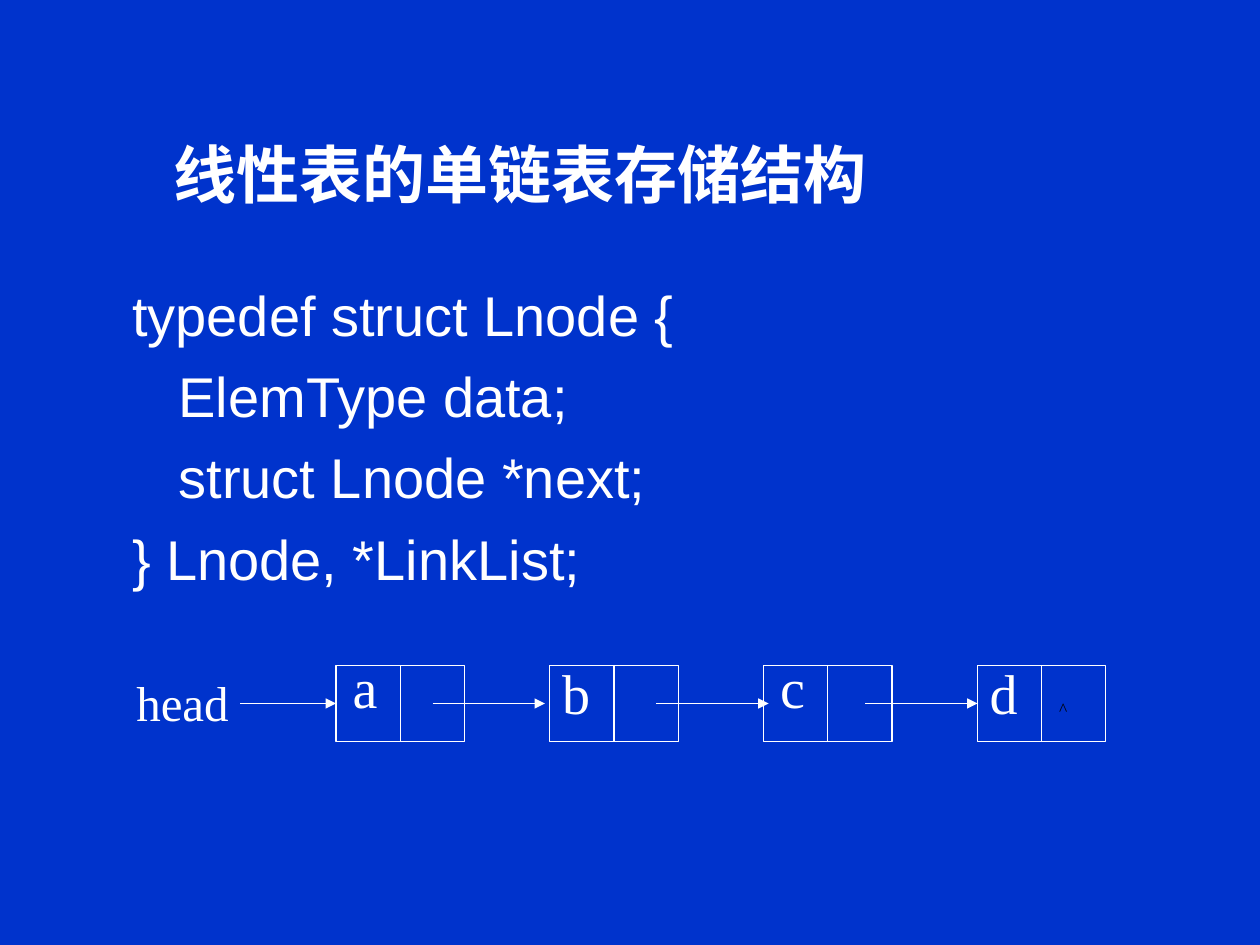
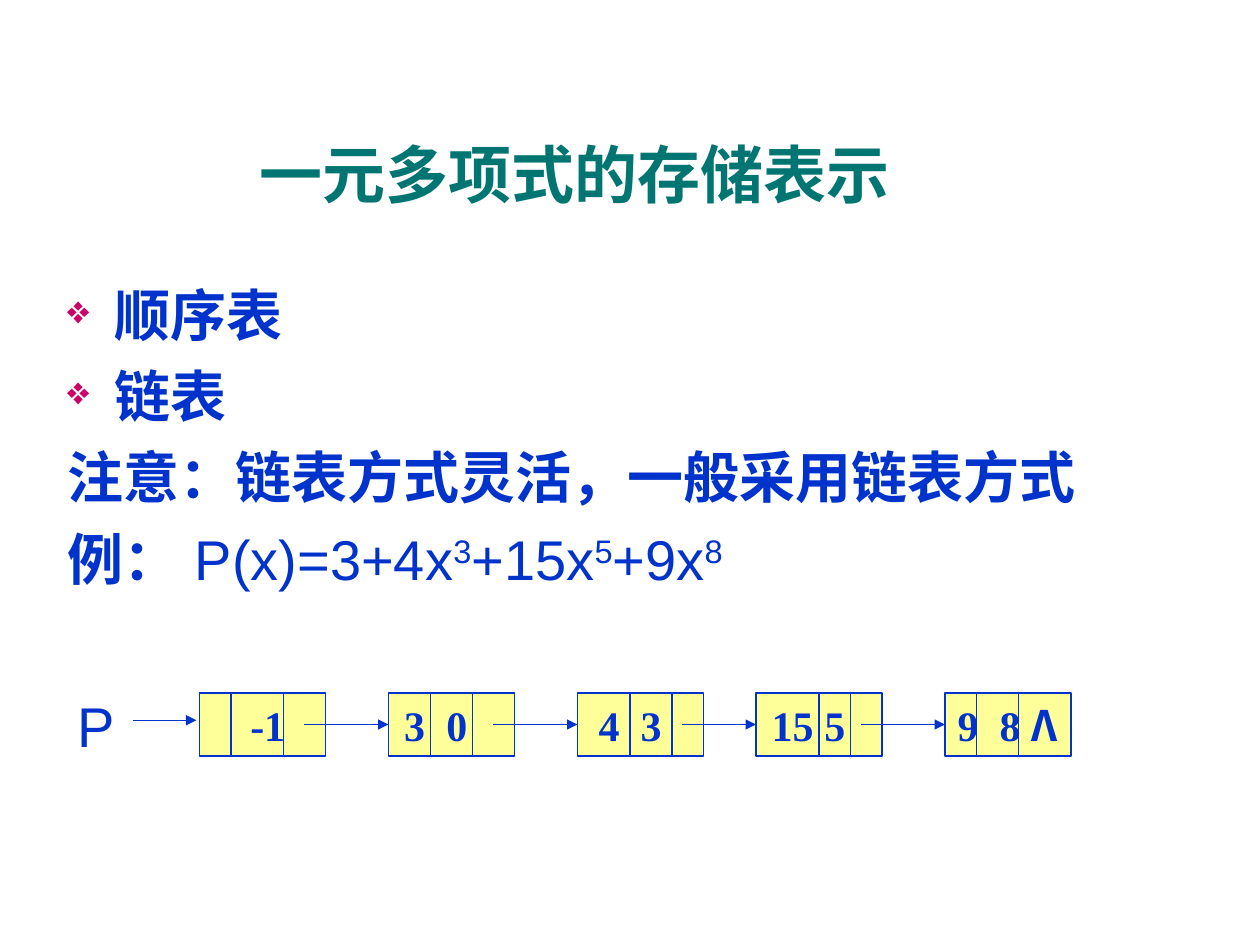
from lxml import etree
from pptx import Presentation, util as u
from pptx.dml.color import RGBColor
from pptx.enum import shapes, text
from pptx.oxml.ns import qn

BLUE = RGBColor(0x00, 0x33, 0xCC)
WHITE = RGBColor(0xFF, 0xFF, 0xFF)
BLACK = RGBColor(0x00, 0x00, 0x00)
TEAL = RGBColor(0x00, 0x75, 0x72)
YELLOW = RGBColor(0xFF, 0xFF, 0x99)
PINK = "CC0066"

SANS, SERIF, CJK = "Arial", "Times New Roman", "Noto Sans CJK SC"
COLUMNS, ROWS = 120, 90
BODY_LINE = u.Pt(46.4)


def grid(cells):
    """Length of a number of grid cells, twelve to the inch."""
    return u.Inches(cells / 12)


def add_run(paragraph, words, size=32, font=SANS, color=BLUE, bold=False, raised=False):
    run = paragraph.add_run()
    run.text = words
    run.font.size = u.Pt(size)
    run.font.name = font
    run.font.bold = bold
    run.font.color.rgb = color
    properties = run.font._element
    etree.SubElement(properties, qn("a:ea")).set("typeface", font)
    if raised:
        properties.set("baseline", "30000")
    return run


def add_text(slide, left, top, width, height, words="", spacing=None, **style):
    """Text box placed on the grid; returns its text frame."""
    box = slide.shapes.add_textbox(grid(left), grid(top), grid(width), grid(height))
    frame = box.text_frame
    frame.word_wrap = True
    if words:
        paragraph = frame.paragraphs[0]
        paragraph.line_spacing = spacing
        add_run(paragraph, words, **style)
    return frame


def add_body_line(frame, index):
    paragraph = frame.add_paragraph() if index else frame.paragraphs[0]
    paragraph.line_spacing = BODY_LINE
    return paragraph


def add_bullet(paragraph):
    properties = paragraph._p.get_or_add_pPr()
    properties.set("marL", str(u.Inches(0.38)))
    properties.set("indent", str(-u.Inches(0.38)))
    color = etree.SubElement(properties, qn("a:buClr"))
    etree.SubElement(color, qn("a:srgbClr")).set("val", PINK)
    etree.SubElement(properties, qn("a:buSzPct")).set("val", "70000")
    etree.SubElement(properties, qn("a:buChar")).set("char", "❖")


def add_centre_tabs(paragraph, stops):
    tabs = etree.SubElement(paragraph._p.get_or_add_pPr(), qn("a:tabLst"))
    for stop in stops:
        tab = etree.SubElement(tabs, qn("a:tab"))
        tab.set("pos", str(grid(stop)))
        tab.set("algn", "ctr")


def add_line(slide, start, end, color, arrow=False):
    line = slide.shapes.add_connector(
        shapes.MSO_CONNECTOR.STRAIGHT, *map(grid, (*start, *end)))
    line.line.color.rgb = color
    line.line.width = u.Pt(0.75)
    if arrow:
        outline = line.line._get_or_add_ln()
        etree.SubElement(outline, qn("a:tailEnd")).set("type", "triangle")
    etree.SubElement(line._element.spPr, qn("a:effectLst"))


def add_node(slide, left, top, width, height, dividers, color, fill=None):
    """List node: a rectangle split by vertical lines."""
    node = slide.shapes.add_shape(
        shapes.MSO_SHAPE.RECTANGLE, *map(grid, (left, top, width, height)))
    node.shadow.inherit = False
    if fill is None:
        node.fill.background()
    else:
        node.fill.solid()
        node.fill.fore_color.rgb = fill
    node.line.color.rgb = color
    node.line.width = u.Pt(0.75)
    for offset in dividers:
        add_line(slide, (left + offset, top), (left + offset, top + height), color)
    return node


def add_node_values(node, values, stops):
    """Values centred in the fields of a node by tab stops."""
    frame = node.text_frame
    frame.word_wrap = True
    frame.margin_left = frame.margin_right = 0
    frame.vertical_anchor = text.MSO_ANCHOR.MIDDLE
    paragraph = frame.paragraphs[0]
    paragraph.alignment = text.PP_ALIGN.LEFT
    add_centre_tabs(paragraph, stops)
    for value in values:
        font = CJK if value == "Λ" else SERIF
        add_run(paragraph, "\t" + value, size=24, font=font, bold=True)


def add_titled_slide(presentation, title, width, color, background):
    slide = presentation.slides.add_slide(presentation.slide_layouts[5])
    slide.background.fill.solid()
    slide.background.fill.fore_color.rgb = background
    shape = slide.shapes.title
    shape.left, shape.top, shape.width, shape.height = map(grid, (4, 9, width, 15))
    frame = shape.text_frame
    frame.auto_size = text.MSO_AUTO_SIZE.NONE
    frame.vertical_anchor = text.MSO_ANCHOR.MIDDLE
    paragraph = frame.paragraphs[0]
    paragraph.alignment = text.PP_ALIGN.CENTER
    add_run(paragraph, title, size=36, color=color, bold=True)
    return slide


def build_linked_list(presentation):
    slide = add_titled_slide(presentation, "线性表的单链表存储结构", 91, WHITE, BLUE)

    # Type definition
    code = ("typedef struct Lnode {", "   ElemType data;",
            "   struct Lnode *next;", "} Lnode, *LinkList;")
    frame = add_text(slide, 11.4, 24.8, 88, 34)
    for index, line in enumerate(code):
        add_run(add_body_line(frame, index), line, color=WHITE)

    # Nodes and their labels
    first, pitch, top, width, height = 32, 20.36, 63.4, 12.24, 7.25
    labels = (("a", 0.4, 62), ("b", 0, 62.5), ("c", 0.4, 62), ("d", 0, 62.5))
    for index, (label, shift, label_top) in enumerate(labels):
        left = first + index * pitch
        add_node(slide, left, top, width, height, [width / 2], WHITE)
        add_text(slide, left + shift, label_top, 7.7, 8, label, spacing=0.96,
                 font=SERIF, color=WHITE)
    add_text(slide, 99.7, 65.9, 4, 4, "^", size=10, font=SERIF, color=BLACK)

    # Head pointer and links
    middle = 67
    add_text(slide, 11.8, 63.5, 15, 8, "head", size=28, font=SERIF, color=WHITE)
    add_line(slide, (22.9, middle), (first, middle), WHITE, arrow=True)
    for start in (41.2, 62.5, 82.4):
        add_line(slide, (start, middle), (start + 10.7, middle), WHITE, arrow=True)


def build_polynomial(presentation):
    slide = add_titled_slide(presentation, "一元多项式的存储表示", 101.4, TEAL, WHITE)

    # Storage choices, remark and example
    frame = add_text(slide, 5.2, 24.8, 106, 34)
    lines = ("顺序表", "链表", "注意：链表方式灵活，一般采用链表方式", "例：")
    for index, line in enumerate(lines):
        paragraph = add_body_line(frame, index)
        if index < 2:
            add_bullet(paragraph)
        add_run(paragraph, line, bold=True)
    terms = ((" P(x)=3+4x", "3"), ("+15x", "5"), ("+9x", "8"))
    for term, exponent in terms:
        add_run(paragraph, term)
        add_run(paragraph, exponent, raised=True)

    # Nodes: left edge, dividers, values and their centres
    top, width, height = 66, 12, 6
    middle = top + height / 2
    nodes = (
        (19, (3, 8), ("-1",), (6.5,)),
        (37, (4, 8), ("3", "0"), (2.5, 6.5)),
        (55, (5, 9), ("4", "3"), (3, 7)),
        (72, (6, 9), ("15", "5"), (3.5, 7.5)),
        (90, (3, 7), ("9", "8", "Λ"), (2.2, 6.2, 9.5)),
    )
    for left, dividers, values, centres in nodes:
        node = add_node(slide, left, top, width, height, dividers, BLUE, YELLOW)
        add_node_values(node, values, centres)

    # Head pointer and links
    add_text(slide, 6.2, 65.3, 6, 8, "P")
    add_line(slide, (12.7, 68.6), (18.7, 68.6), BLUE, arrow=True)
    for node, following in zip(nodes, nodes[1:]):
        add_line(slide, (node[0] + 10, middle), (following[0], middle), BLUE, arrow=True)


def main():
    presentation = Presentation()
    presentation.slide_width, presentation.slide_height = grid(COLUMNS), grid(ROWS)
    build_linked_list(presentation)
    build_polynomial(presentation)
    presentation.save("out.pptx")


if __name__ == "__main__":
    main()
